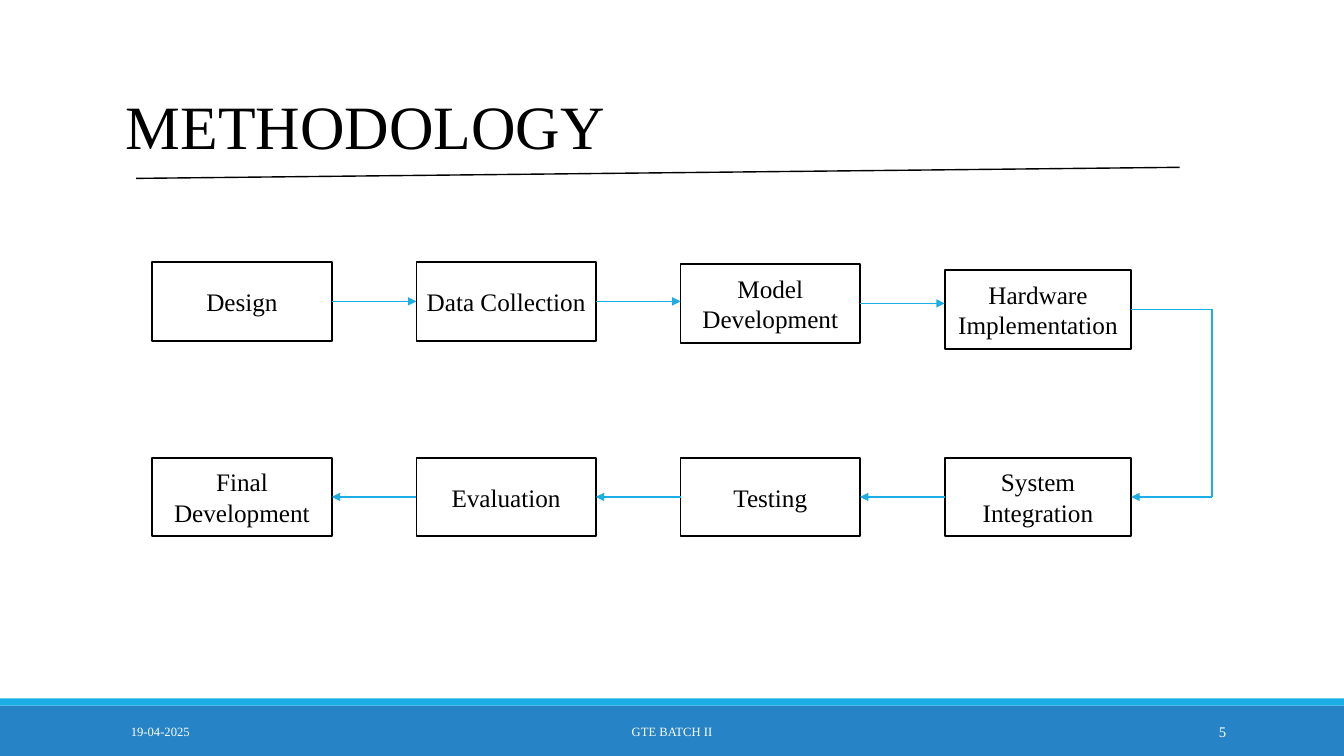
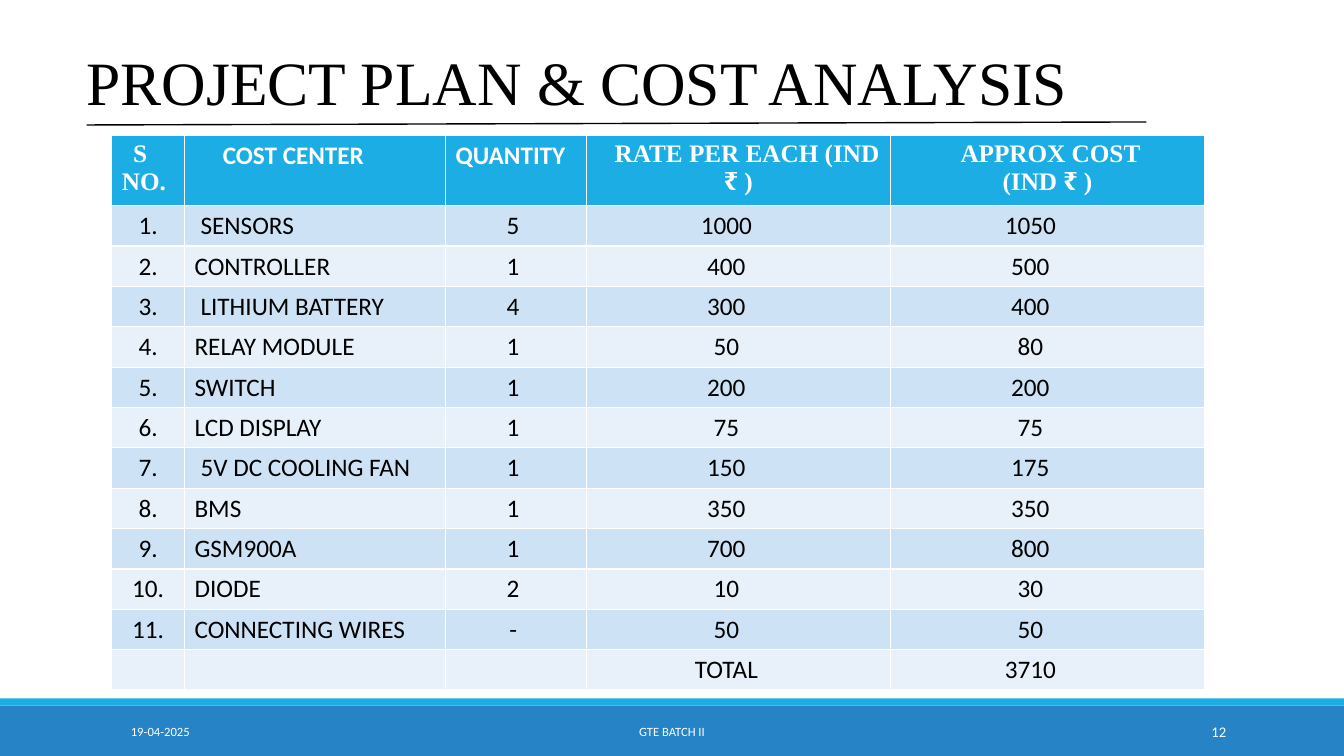
from dataclasses import dataclass

import pptx
import pptx.dml.color
import pptx.enum.shapes
import pptx.enum.text
import pptx.oxml
import pptx.oxml.ns
import pptx.util

Inches = pptx.util.Inches
Align = pptx.enum.text.PP_ALIGN
Anchor = pptx.enum.text.MSO_ANCHOR
A_NS = pptx.oxml.ns.nsdecls("a")


@dataclass(frozen=True)
class Theme:
    black: str = "000000"
    white: str = "FFFFFF"
    accent: str = "1CADE4"
    footer: str = "2683C6"
    bands: tuple[str, str] = ("CDE3F5", "E8F1FA")
    serif: str = "Times New Roman"
    sans: str = "Calibri"
    title_size: float = 44
    body_size: float = 18
    footer_size: float = 9
    number_size: float = 10.5


@dataclass(frozen=True)
class Step:
    text: str
    column: int
    top: float
    width: float = 1.78

    @property
    def left(self) -> float:
        return 1.51 + 2.62 * self.column

    @property
    def right(self) -> float:
        return self.left + self.width

    @property
    def middle(self) -> float:
        return self.top + STEP_HEIGHT / 2


@dataclass(frozen=True)
class Column:
    """A table column; margins and indent are in inches."""
    heading: str
    width: float
    font: str
    heading_align: Align = Align.LEFT
    heading_margin: float = 0.1
    heading_indent: float = 0
    align: Align = Align.CENTER
    right_margin: float = 0.1


@dataclass(frozen=True)
class Item:
    name: str
    quantity: str
    rate: str
    cost: str
    inset: bool = False


THEME = Theme()
STEP_HEIGHT = 0.78
LOOP_X = 12.02

TOP_STEPS = [
    Step("Design", 0, 2.6),
    Step("Data Collection", 1, 2.6),
    Step("Model Development", 2, 2.62),
    Step("Hardware Implementation", 3, 2.68, 1.85),
]
BOTTOM_STEPS = [
    Step("System Integration", 3, 4.54, 1.85),
    Step("Testing", 2, 4.54),
    Step("Evaluation", 1, 4.54),
    Step("Final Development", 0, 4.54),
]

COLUMNS = [
    Column("S NO.", 0.72, THEME.serif, heading_indent=0.11),
    Column("COST CENTER", 2.59, THEME.sans, heading_margin=0.38, align=Align.LEFT),
    Column("QUANTITY", 1.4, THEME.sans, right_margin=0.16),
    Column("RATE PER EACH (IND ₹ )", 3.01, THEME.serif, Align.CENTER,
           heading_indent=0.17, right_margin=0.34),
    Column("APPROX COST\n(IND ₹ )", 3.12, THEME.serif, Align.CENTER,
           heading_indent=0.06, right_margin=0.44),
]
ITEMS = [
    Item("SENSORS", "5", "1000", "1050", inset=True),
    Item("CONTROLLER", "1", "400", "500"),
    Item("LITHIUM BATTERY", "4", "300", "400", inset=True),
    Item("RELAY MODULE", "1", "50", "80"),
    Item("SWITCH", "1", "200", "200"),
    Item("LCD DISPLAY", "1", "75", "75"),
    Item("5V DC COOLING FAN", "1", "150", "175", inset=True),
    Item("BMS", "1", "350", "350"),
    Item("GSM900A", "1", "700", "800"),
    Item("DIODE", "2", "10", "30"),
    Item("CONNECTING WIRES", "-", "50", "50"),
]


def rgb(value: str) -> pptx.dml.color.RGBColor:
    return pptx.dml.color.RGBColor.from_string(value)


def write(tf, text: str, size: float, font: str, color: str,
          align: Align = Align.LEFT, bold: bool = False) -> None:
    """Set the text of a frame and format all its runs."""
    tf.text = text
    tf.word_wrap = True
    for p in tf.paragraphs:
        p.alignment = align
        for r in p.runs:
            r.font.size = pptx.util.Pt(size)
            r.font.name = font
            r.font.bold = bold
            r.font.color.rgb = rgb(color)


def add_text(slide, left: float, top: float, width: float, height: float, text: str,
             size: float, font: str, color: str, align: Align = Align.LEFT,
             anchor: Anchor = Anchor.TOP) -> None:
    tf = slide.shapes.add_textbox(
        Inches(left), Inches(top), Inches(width), Inches(height)).text_frame
    write(tf, text, size, font, color, align)
    tf.vertical_anchor = anchor


def add_rect(slide, left: float, top: float, width: float, height: float, fill: str):
    sp = slide.shapes.add_shape(pptx.enum.shapes.MSO_SHAPE.RECTANGLE, Inches(left),
                                Inches(top), Inches(width), Inches(height))
    sp.shadow.inherit = False
    sp.fill.solid()
    sp.fill.fore_color.rgb = rgb(fill)
    sp.line.fill.background()
    return sp


def add_line(slide, start: tuple[float, float], end: tuple[float, float],
             color: str, arrow: bool = False) -> None:
    line = slide.shapes.add_connector(pptx.enum.shapes.MSO_CONNECTOR.STRAIGHT,
                                      *(Inches(v) for v in (*start, *end)))
    line.line.color.rgb = rgb(color)
    line.line.width = pptx.util.Pt(1)
    if arrow:
        line.line._get_or_add_ln().append(
            pptx.oxml.parse_xml(f'<a:tailEnd {A_NS} type="triangle"/>'))
    line._element.spPr.append(pptx.oxml.parse_xml(f"<a:effectLst {A_NS}/>"))


def add_frame(slide, number: str, font: str) -> None:
    """Draw the bottom bands with date, batch and slide number."""
    add_rect(slide, 0, 7, 13.33, 0.5, THEME.footer)
    add_rect(slide, 0, 6.93, 13.33, 0.07, THEME.accent)
    for left, width, text, size, align in (
        (1.2, 2.7, "19-04-2025", THEME.footer_size, Align.LEFT),
        (4.03, 5.27, "GTE BATCH II", THEME.footer_size, Align.CENTER),
        (10.83, 1.43, number, THEME.number_size, Align.RIGHT),
    ):
        add_text(slide, left, 7.06, width, 0.4, text, size, font, THEME.white,
                 align, Anchor.MIDDLE)


def add_title(slide, left: float, top: float, width: float, text: str,
              rule_start: tuple[float, float], rule_end: tuple[float, float]) -> None:
    add_text(slide, left, top, width, 0.84, text, THEME.title_size, THEME.serif, THEME.black)
    add_line(slide, rule_start, rule_end, THEME.black)


def add_step(slide, step: Step) -> None:
    sp = add_rect(slide, step.left, step.top, step.width, STEP_HEIGHT, THEME.white)
    sp.line.color.rgb = rgb(THEME.black)
    sp.line.width = pptx.util.Pt(1.25)
    write(sp.text_frame, step.text, THEME.body_size, THEME.serif, THEME.black, Align.CENTER)
    sp.text_frame.vertical_anchor = Anchor.MIDDLE


def build_methodology(slide) -> None:
    add_frame(slide, "5", THEME.serif)
    add_title(slide, 1.15, 0.82, 6.67, "METHODOLOGY", (1.35, 1.77), (11.7, 1.66))
    for step in TOP_STEPS + BOTTOM_STEPS:
        add_step(slide, step)
    for a, b in zip(TOP_STEPS, TOP_STEPS[1:]):
        add_line(slide, (a.right, a.middle), (b.left, a.middle), THEME.accent, arrow=True)
    for a, b in zip(BOTTOM_STEPS, BOTTOM_STEPS[1:]):
        add_line(slide, (a.left, a.middle), (b.right, a.middle), THEME.accent, arrow=True)

    last, first = TOP_STEPS[-1], BOTTOM_STEPS[0]
    loop = [(last.right, last.middle), (LOOP_X, last.middle),
            (LOOP_X, first.middle), (first.right, first.middle)]
    for start, end in zip(loop, loop[1:]):
        add_line(slide, start, end, THEME.accent, arrow=end == loop[-1])


def fill_cell(cell, color: str) -> None:
    cell.fill.solid()
    cell.fill.fore_color.rgb = rgb(color)


def add_cost_table(slide) -> None:
    rows = [(f"{n}.", item.name, item.quantity, item.rate, item.cost)
            for n, item in enumerate(ITEMS, 1)]
    rows.append(("", "", "", "TOTAL", "3710"))
    table = slide.shapes.add_table(len(rows) + 1, len(COLUMNS), Inches(1.11), Inches(1.34),
                                   Inches(10.84), Inches(5.49)).table
    for row in table.rows:
        row.height = Inches(0.4)
    table.rows[0].height = Inches(0.69)

    for c, column in enumerate(COLUMNS):
        table.columns[c].width = Inches(column.width)
        head = table.cell(0, c)
        fill_cell(head, THEME.accent)
        head.margin_left = Inches(column.heading_margin)
        write(head.text_frame, column.heading, THEME.body_size, column.font,
              THEME.white, column.heading_align, bold=True)
        head.text_frame.paragraphs[0]._p.get_or_add_pPr().set(
            "indent", str(Inches(column.heading_indent)))
        for r, values in enumerate(rows, 1):
            cell = table.cell(r, c)
            fill_cell(cell, THEME.bands[(r - 1) % 2])
            cell.margin_right = Inches(column.right_margin)
            write(cell.text_frame, values[c], THEME.body_size, THEME.sans,
                  THEME.black, column.align)
    for r, item in enumerate(ITEMS, 1):
        if item.inset:
            table.cell(r, 1).margin_left = Inches(0.16)


def build_cost_analysis(slide) -> None:
    add_frame(slide, "12", THEME.sans)
    add_title(slide, 0.76, 0.39, 10.7, "PROJECT PLAN & COST ANALYSIS",
              (0.86, 1.24), (11.37, 1.21))
    add_cost_table(slide)


def main() -> None:
    prs = pptx.Presentation()
    prs.slide_width, prs.slide_height = Inches(13.33), Inches(7.5)
    for build in (build_methodology, build_cost_analysis):
        build(prs.slides.add_slide(prs.slide_layouts[6]))
    prs.save("out.pptx")


if __name__ == "__main__":
    main()
